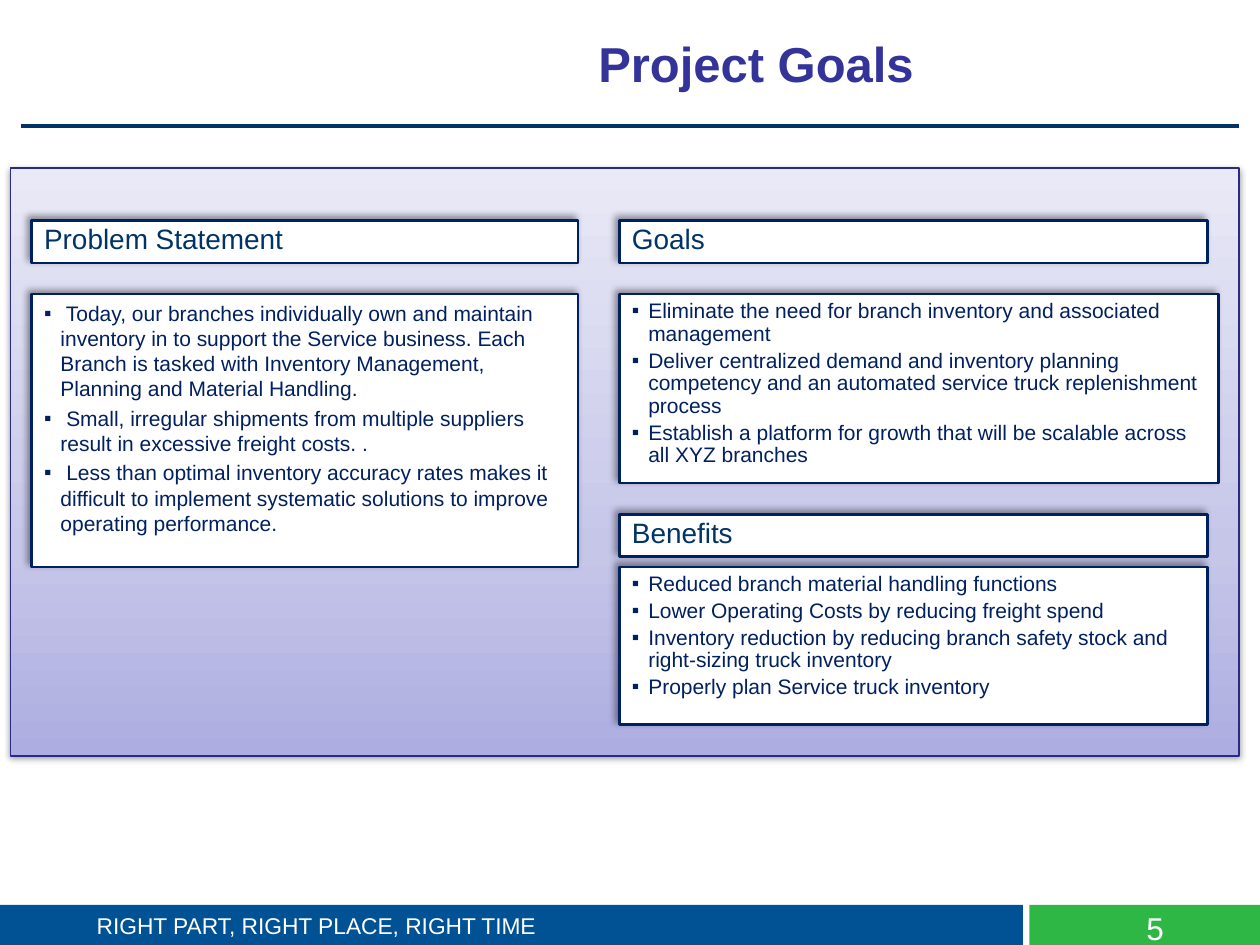
from copy import deepcopy
from dataclasses import dataclass

from lxml.etree import SubElement
from pptx import Presentation
from pptx.dml.color import RGBColor as Rgb
from pptx.enum.shapes import MSO_CONNECTOR as Connector, MSO_SHAPE as Shape
from pptx.enum.text import MSO_ANCHOR as Anchor, PP_ALIGN as Align
from pptx.oxml.ns import qn
from pptx.util import Cm, Pt


@dataclass(frozen=True)
class Theme:
    font: str = "Arial"
    white: str = "FFFFFF"
    title: str = "333399"
    heading: str = "003366"
    body: str = "002060"
    panel_line: str = "2A2A89"
    panel_stops: tuple = ((0, "ADADE1"), (0.35, "C6C6E9"), (1, "E9E9F7"))
    footer: str = "015295"
    number: str = "2FB746"
    title_size: int = 28
    number_size: int = 18
    heading_size: int = 16
    footer_size: int = 13
    body_size: int = 12


theme = Theme()
deck = Presentation()
deck.slide_width, deck.slide_height = Cm(25.4), Cm(19.05)
page = deck.slides.add_slide(deck.slide_layouts[6])


def add_box(place, fill=None, line=None, weight=1.5, shadow=None):
    """Add a rectangle; shadow is opacity %, blur pt, distance pt, angle."""
    box = page.shapes.add_shape(Shape.RECTANGLE, *map(Cm, place))
    box.shadow.inherit = False
    if fill:
        box.fill.solid()
        box.fill.fore_color.rgb = Rgb.from_string(fill)
    else:
        box.fill.background()
    if line:
        box.line.color.rgb = Rgb.from_string(line)
        box.line.width = Pt(weight)
    else:
        box.line.fill.background()
    if shadow:
        opacity, blur, distance, angle = shadow
        effects = box._element.spPr.find(qn("a:effectLst"))
        outer = SubElement(effects, qn("a:outerShdw"), blurRad=str(Pt(blur)),
                           dist=str(Pt(distance)), dir=str(angle * 60000), rotWithShape="0")
        color = SubElement(outer, qn("a:srgbClr"), val="000000")
        SubElement(color, qn("a:alpha"), val=str(opacity * 1000))
    return box


def write(box, lines, size, color, align=Align.LEFT, anchor=Anchor.TOP,
          spacing=None, bullet=False, bold=False):
    frame = box.text_frame
    frame.word_wrap = True
    frame.vertical_anchor = anchor
    frame.text = "\n".join(lines)
    for index, para in enumerate(frame.paragraphs):
        para.alignment = align
        if spacing:
            para.line_spacing = spacing
        if index:
            para.space_before = Pt(0.2 * size)
        if bullet:
            props = para._p.get_or_add_pPr()
            props.set("marL", str(Cm(0.33)))
            props.set("indent", str(Cm(-0.33)))
            SubElement(props, qn("a:buFont"), typeface=theme.font)
            SubElement(props, qn("a:buChar"), char="▪")
        for span in para.runs:
            span.font.name = theme.font
            span.font.size = Pt(size)
            span.font.bold = bold
            span.font.color.rgb = Rgb.from_string(color)


# Title rule and footer
rule = page.shapes.add_connector(Connector.STRAIGHT, Cm(0.43), Cm(2.54), Cm(24.97), Cm(2.54))
rule.line.color.rgb = Rgb.from_string(theme.heading)
rule.line.width = Pt(2.25)
SubElement(rule._element.spPr, qn("a:effectLst"))

add_box((20.75, 18.24, 4.65, 0.81), theme.number)
add_box((0, 18.24, 20.62, 0.81), theme.footer)
slogan = page.shapes.add_textbox(Cm(1.7), Cm(18.26), Cm(13.13), Cm(0.79))
write(slogan, ["RIGHT PART, RIGHT PLACE, RIGHT TIME"], theme.footer_size, theme.white)

# Gradient panel
panel = add_box((0.21, 3.39, 24.77, 11.85), line=theme.panel_line, weight=0.75,
                shadow=(38, 3.1, 1.6, 90))
panel.fill.gradient()
panel.fill.gradient_angle = 90
stop_list = panel._element.spPr.find(qn("a:gradFill")).find(qn("a:gsLst"))
stop_list.append(deepcopy(stop_list[0]))
for stop, (position, color) in zip(panel.fill.gradient_stops, theme.panel_stops):
    stop.position = position
    stop.color.rgb = Rgb.from_string(color)

title = page.shapes.add_textbox(Cm(6.14), Cm(0.21), Cm(18.2), Cm(2.12))
write(title, ["Project Goals"], theme.title_size, theme.title, Align.CENTER, Anchor.MIDDLE,
      bold=True)

# Sections: heading, left, heading top, heading width, body top, body size, spacing, bullets
sections = [
    ("Problem Statement", 0.64, 4.45, 11.01, 5.93, (11.01, 5.5), None, [
        " Today, our branches individually own and maintain inventory in to support the "
        "Service business. Each Branch is tasked with Inventory Management, Planning and "
        "Material Handling.",
        " Small, irregular shipments from multiple suppliers result in excessive freight "
        "costs. .",
        " Less than optimal inventory accuracy rates makes it difficult to implement "
        "systematic solutions to improve operating performance.",
    ]),
    ("Goals", 12.49, 4.45, 11.85, 5.93, (12.07, 3.81), 0.9, [
        "Eliminate the need for branch inventory and associated management",
        "Deliver centralized demand and inventory planning competency and an automated "
        "service truck replenishment process",
        "Establish a platform for growth that will be scalable across all XYZ branches",
    ]),
    ("Benefits", 12.49, 10.37, 11.85, 11.43, (11.85, 3.18), 0.9, [
        "Reduced branch material handling functions",
        "Lower Operating Costs by reducing freight spend",
        "Inventory reduction by reducing branch safety stock and right-sizing truck inventory",
        "Properly plan Service truck inventory",
    ]),
]
card_style = dict(fill=theme.white, line=theme.body, shadow=(40, 4, 3, 225))
for heading, left, top, width, body_top, body_size, spacing, bullets in sections:
    body = add_box((left, body_top, *body_size), **card_style)
    write(body, bullets, theme.body_size, theme.body, spacing=spacing, bullet=True)
    header = add_box((left, top, width, 0.85), **card_style)
    write(header, [heading], theme.heading_size, theme.heading, anchor=Anchor.MIDDLE,
          spacing=0.8)

number = page.shapes.add_textbox(Cm(20.11), Cm(18.2), Cm(3.6), Cm(0.85))
write(number, ["5"], theme.number_size, theme.white, Align.RIGHT)

deck.save("out.pptx")
